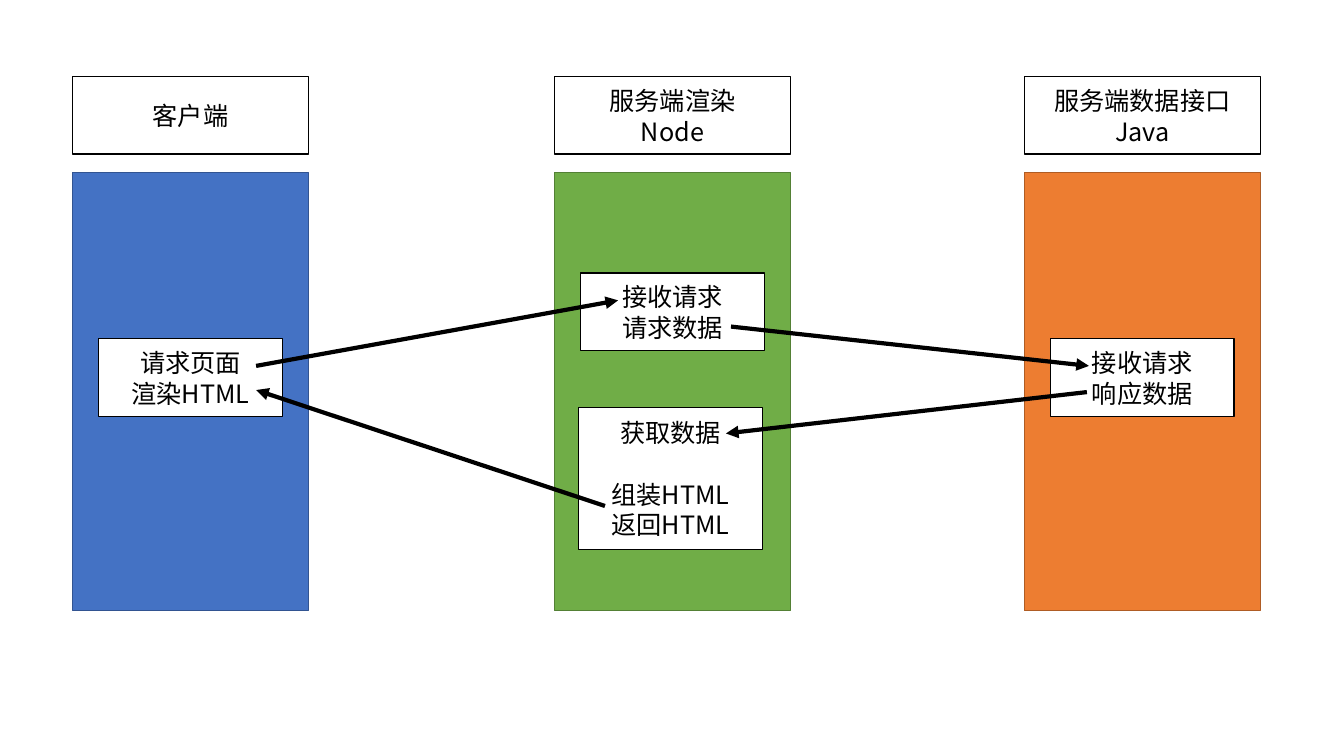
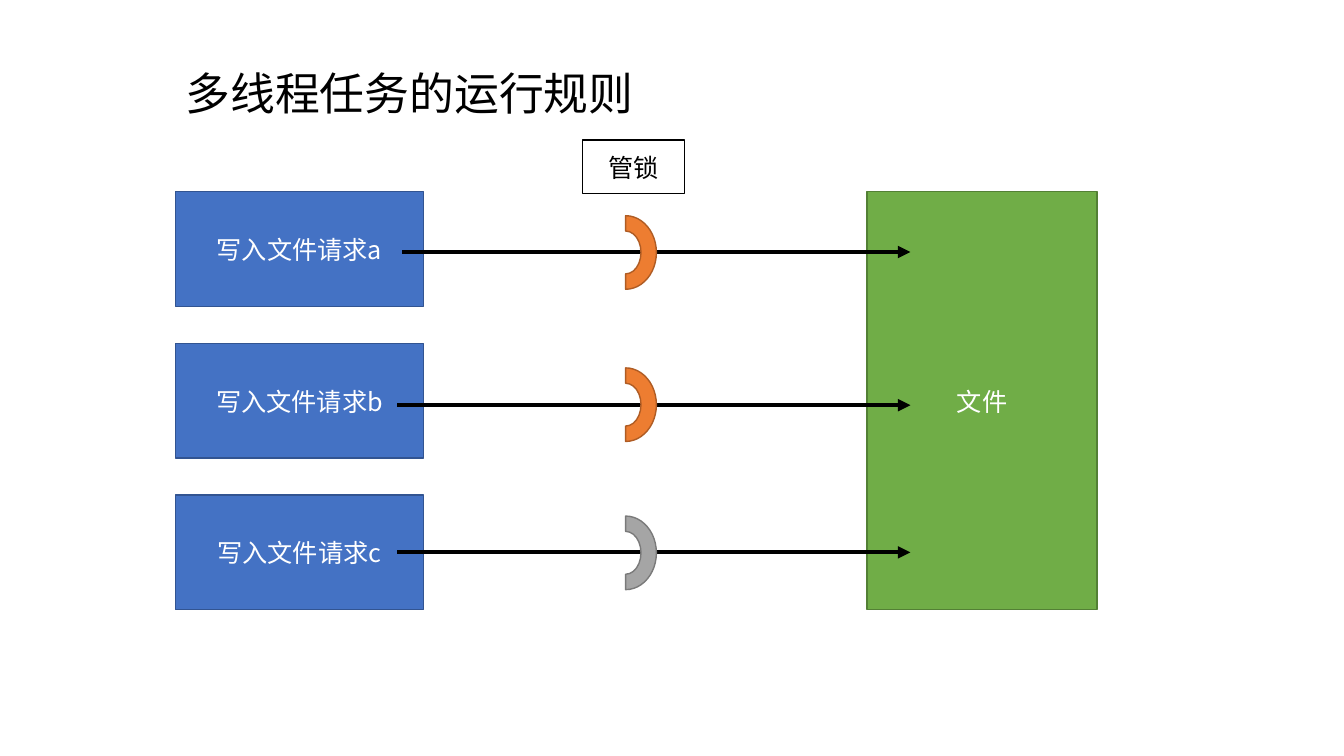
from dataclasses import dataclass

import pptx
import pptx.dml.color
import pptx.enum.shapes
import pptx.enum.text
import pptx.oxml
import pptx.oxml.ns
import pptx.util
from pptx.util import Inches

FONT = "Noto Sans CJK SC"
BODY_SIZE, BODY_LEADING = 18, 22
TITLE_SIZE, TITLE_LEADING = 32, 42
COLORS = {
    "white": "FFFFFF", "black": "000000",
    "blue": "4472C4", "blue_edge": "325491",
    "green": "70AD47", "green_edge": "538035",
    "orange": "ED7D31", "orange_edge": "AF5C24",
    "gray": "A5A5A5", "gray_edge": "7A7A7A",
}
RECTANGLE = pptx.enum.shapes.MSO_SHAPE.RECTANGLE
BLOCK_ARC = pptx.enum.shapes.MSO_SHAPE.BLOCK_ARC


@dataclass(frozen=True)
class Style:
    fill: str
    edge: str
    text: str = "white"


LABEL = Style("white", "black", "black")
BLUE, GREEN, ORANGE, GRAY = (
    Style(name, f"{name}_edge") for name in ("blue", "green", "orange", "gray"))


@dataclass(frozen=True)
class Box:
    left: float
    top: float
    width: float
    height: float
    style: Style
    lines: tuple[str, ...] = ()
    gap_before: int | None = None  # index of a line set apart from those above


@dataclass(frozen=True)
class Arrow:
    start: tuple[float, float]
    end: tuple[float, float]


@dataclass(frozen=True)
class Lane:
    left: float
    style: Style
    heading: tuple[str, ...]


@dataclass(frozen=True)
class Request:
    name: str
    arrow_left: float
    arrow_y: float
    lock_top: float
    lock_style: Style


# Shared drawing
def rgb(name: str) -> pptx.dml.color.RGBColor:
    return pptx.dml.color.RGBColor.from_string(COLORS[name])


def format_paragraph(paragraph, size: float, leading: float, color: str) -> None:
    paragraph.line_spacing = pptx.util.Pt(leading)
    for run in paragraph.runs:
        run.font.name = FONT
        run.font.size = pptx.util.Pt(size)
        run.font.color.rgb = rgb(color)
        east_asian = pptx.oxml.parse_xml(
            f'<a:ea {pptx.oxml.ns.nsdecls("a")} typeface="{FONT}"/>')
        run.font._element.find(pptx.oxml.ns.qn("a:latin")).addnext(east_asian)


def draw_box(slide, box: Box, kind=RECTANGLE, rotation: float = 0) -> None:
    shape = slide.shapes.add_shape(
        kind, Inches(box.left), Inches(box.top), Inches(box.width), Inches(box.height))
    shape.rotation = rotation
    shape.shadow.inherit = False
    shape.fill.solid()
    shape.fill.fore_color.rgb = rgb(box.style.fill)
    shape.line.color.rgb = rgb(box.style.edge)
    shape.line.width = pptx.util.Pt(1)
    if not box.lines:
        return
    text_frame = shape.text_frame
    text_frame.text = "\n".join(box.lines)
    text_frame.vertical_anchor = pptx.enum.text.MSO_ANCHOR.MIDDLE
    for index, paragraph in enumerate(text_frame.paragraphs):
        paragraph.alignment = pptx.enum.text.PP_ALIGN.CENTER
        format_paragraph(paragraph, BODY_SIZE, BODY_LEADING, box.style.text)
        if index == box.gap_before:
            paragraph.space_before = pptx.util.Pt(BODY_LEADING)


def draw_arrow(slide, arrow: Arrow) -> None:
    connector = slide.shapes.add_connector(
        pptx.enum.shapes.MSO_CONNECTOR.STRAIGHT,
        *(Inches(value) for value in (*arrow.start, *arrow.end)))
    connector.line.color.rgb = rgb("black")
    connector.line.width = pptx.util.Pt(3)
    namespace = pptx.oxml.ns.nsdecls("a")
    connector.line._get_or_add_ln().append(
        pptx.oxml.parse_xml(f'<a:tailEnd {namespace} type="triangle"/>'))
    connector._element.spPr.append(pptx.oxml.parse_xml(f"<a:effectLst {namespace}/>"))


def draw_title(slide, text: str) -> None:
    shape = slide.shapes.add_textbox(Inches(1.74), Inches(0.55), Inches(4.85), Inches(0.64))
    text_frame = shape.text_frame
    text_frame.word_wrap = True
    text_frame.auto_size = pptx.enum.text.MSO_AUTO_SIZE.SHAPE_TO_FIT_TEXT
    text_frame.text = text
    format_paragraph(text_frame.paragraphs[0], TITLE_SIZE, TITLE_LEADING, "black")


# Slide 1: server-side rendering
LANE_WIDTH, STEP_WIDTH, ROW_HEIGHT = 2.34, 1.82, 0.77
STEP_INSET = (LANE_WIDTH - STEP_WIDTH) / 2
CLIENT = Lane(0.72, BLUE, ("客户端",))
RENDERER = Lane(5.5, GREEN, ("服务端渲染", "Node"))
DATA_API = Lane(10.16, ORANGE, ("服务端数据接口", "Java"))


def step(lane: Lane, top: float, *lines: str) -> Box:
    return Box(lane.left + STEP_INSET, top, STEP_WIDTH, ROW_HEIGHT, LABEL, lines)


STEPS = (
    step(CLIENT, 3.36, "请求页面", "渲染HTML"),
    step(RENDERER, 2.71, "接收请求", "请求数据"),
    step(DATA_API, 3.36, "接收请求", "响应数据"),
    Box(5.74, 4.04, STEP_WIDTH, 1.41, LABEL,
        ("获取数据", "组装HTML", "返回HTML"), gap_before=1),
)
MESSAGES = (
    Arrow((2.54, 3.63), (6.13, 2.98)),
    Arrow((7.25, 3.24), (10.8, 3.63)),
    Arrow((10.78, 3.89), (7.2, 4.3)),
    Arrow((6, 5.02), (2.54, 3.87)),
)


def build_rendering_slide(slide) -> None:
    for lane in (CLIENT, RENDERER, DATA_API):
        draw_box(slide, Box(lane.left, 1.71, LANE_WIDTH, 4.35, lane.style))
        draw_box(slide, Box(lane.left, 0.76, LANE_WIDTH, ROW_HEIGHT, LABEL, lane.heading))
    for box in STEPS:
        draw_box(slide, box)
    for message in MESSAGES:
        draw_arrow(slide, message)


# Slide 2: file lock
FILE = Box(8.6, 1.9, 2.28, 4.15, GREEN, ("文件",))
REQUEST_HEIGHT = 1.14
REQUESTS = (
    Request("a", 3.99, 2.5, 2.2, ORANGE),
    Request("b", 3.94, 4.02, 3.71, ORANGE),
    Request("c", 3.94, 5.48, 5.18, GRAY),
)


def build_lock_slide(slide) -> None:
    draw_title(slide, "多线程任务的运行规则")
    draw_box(slide, FILE)
    pitch = (FILE.height - REQUEST_HEIGHT) / (len(REQUESTS) - 1)
    for index, request in enumerate(REQUESTS):
        draw_box(slide, Box(1.74, FILE.top + index * pitch, 2.46, REQUEST_HEIGHT,
                            BLUE, (f"写入文件请求{request.name}",)))
        draw_arrow(slide, Arrow((request.arrow_left, request.arrow_y),
                                (9.03, request.arrow_y)))
        draw_box(slide, Box(5.84, request.lock_top, 0.73, 0.61, request.lock_style),
                 BLOCK_ARC, rotation=90)
    draw_box(slide, Box(5.78, 1.39, 1.01, 0.53, LABEL, ("管锁",)))


def main() -> None:
    presentation = pptx.Presentation()
    presentation.slide_width = Inches(13.33)
    presentation.slide_height = Inches(7.5)
    blank_layout = presentation.slide_layouts[6]
    for build in (build_rendering_slide, build_lock_slide):
        build(presentation.slides.add_slide(blank_layout))
    presentation.save("out.pptx")


if __name__ == "__main__":
    main()
